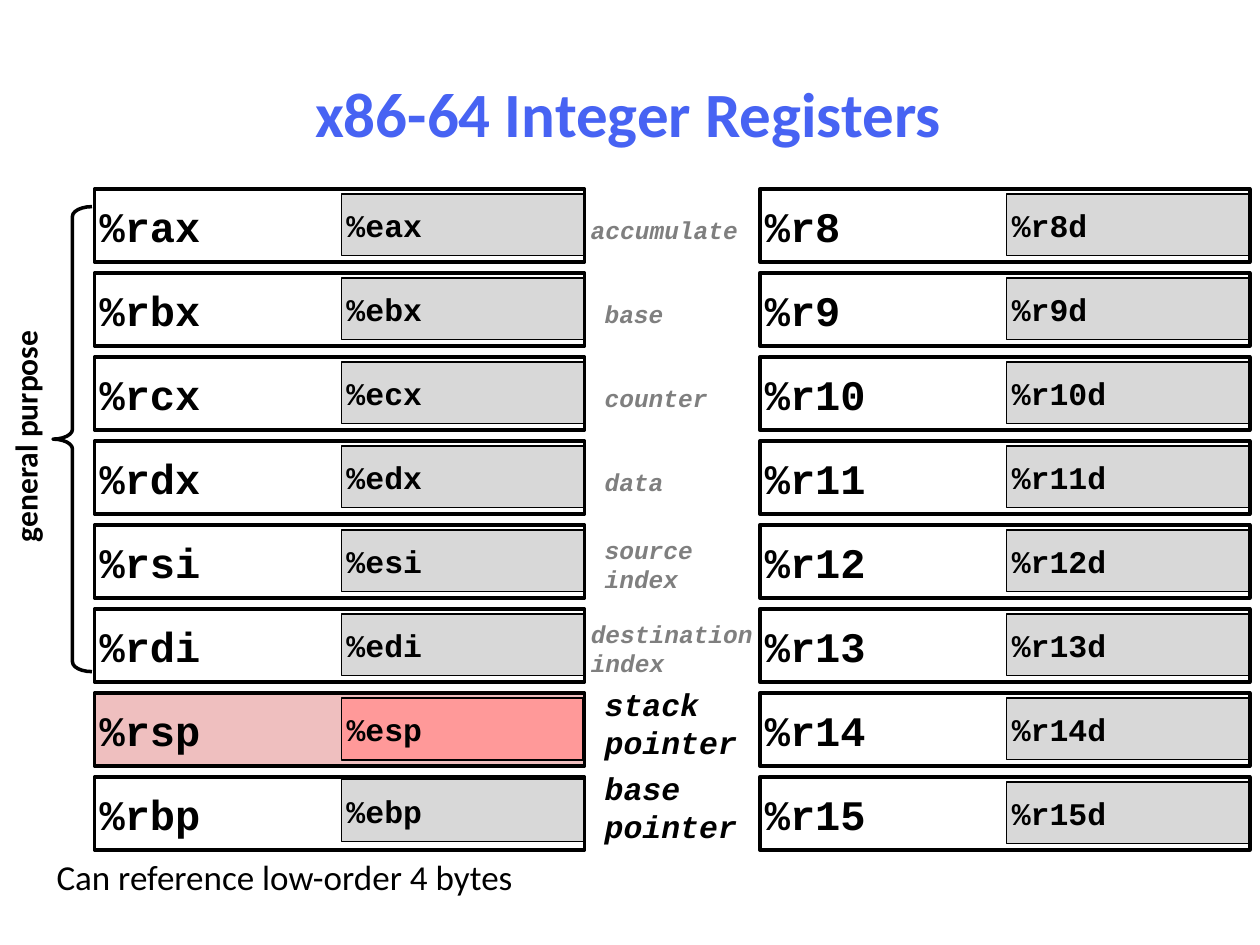
"""Build a slide that maps the x86-64 integer registers to their low halves."""
import pptx
import pptx.dml.color
import pptx.enum.shapes
import pptx.enum.text
import pptx.oxml
import pptx.util
from pptx.util import Inches

MONO = "Courier New"
SANS = "Calibri"
PITCH = 2 / 3


def color(code):
    return pptx.dml.color.RGBColor.from_string(code)


def write(shape, text, face, size, ink="000000", bold=True, slant=False):
    frame = shape.text_frame
    frame.text = text
    for para in frame.paragraphs:
        font = para.font
        font.name, font.size = face, pptx.util.Pt(size)
        font.bold, font.italic = bold, slant
        font.color.rgb = color(ink)
    return frame


deck = pptx.Presentation()
deck.slide_width, deck.slide_height = Inches(10), Inches(7.5)
slide = deck.slides.add_slide(deck.slide_layouts[5])
shapes = slide.shapes

title = shapes.title
title.left, title.top = Inches(0.39), Inches(0.48)
title.width, title.height = Inches(9.19), Inches(0.83)
frame = write(title, "x86-64 Integer Registers", SANS, 36, "4763F3")
frame.vertical_anchor = pptx.enum.text.MSO_ANCHOR.MIDDLE
frame.paragraphs[0].alignment = pptx.enum.text.PP_ALIGN.CENTER

banks = [
    (0.75, ["ax", "bx", "cx", "dx", "si", "di", "sp", "bp"], "%r{}", "%e{}"),
    (6.03, range(8, 16), "%r{}", "%r{}d"),
]
boxes = []
for left, names, full, half in banks:
    for row, name in enumerate(names):
        top = 1.5 + row * PITCH
        stack = name == "sp"
        inset = 0.02 if name == "bp" else 0.04
        outer = (full.format(name), left, top, 3.89, 0.58,
                 "EFBFBF" if stack else None, 2, 24)
        inner = (half.format(name), left + 1.96, top + inset,
                 1.92 if stack else 1.93, 0.49,
                 "FF9999" if stack else "D8D8D8", 1 if stack else 0.75, 18)
        boxes += [outer, inner] if stack else [inner, outer]

for text, left, top, width, height, fill, line, size in boxes:
    box = shapes.add_shape(pptx.enum.shapes.MSO_SHAPE.RECTANGLE, Inches(left),
                           Inches(top), Inches(width), Inches(height))
    box.shadow.inherit = False
    if fill:
        box.fill.solid()
        box.fill.fore_color.rgb = color(fill)
    else:
        box.fill.background()
    box.line.color.rgb = color("000000")
    box.line.width = pptx.util.Pt(line)
    frame = write(box, text, MONO, size)
    frame.margin_left = frame.margin_right = Inches(0.04)
    frame.margin_top = frame.margin_bottom = Inches(0.04)
    frame.vertical_anchor = pptx.enum.text.MSO_ANCHOR.MIDDLE
    frame.paragraphs[0].alignment = pptx.enum.text.PP_ALIGN.LEFT

brace = shapes.add_shape(pptx.enum.shapes.MSO_SHAPE.LEFT_BRACE, Inches(0.42),
                         Inches(1.64), Inches(0.31), Inches(3.69))
brace.shadow.inherit = False
brace.fill.background()
brace.line.color.rgb = color("000000")
brace.line.width = pptx.util.Pt(2)
brace.adjustments[0] = 0.25

group = shapes.add_textbox(Inches(-0.74), Inches(3.26), Inches(1.88), Inches(0.4))
group.rotation = 270
write(group, "general purpose", SANS, 18).word_wrap = False

roles = [
    ("accumulate", 4.59, 1.37), ("base", 4.7, 0.67),
    ("counter", 4.7, 1.02), ("data", 4.7, 0.67),
    ("source\nindex", 4.7, 1.02), ("destination\nindex", 4.59, 1.49),
    ("stack\npointer", 4.7, 1.25), ("base\npointer", 4.7, 1.25),
]
for row, (text, left, width) in enumerate(roles):
    main = "pointer" in text
    if main:
        shift, height, size, ink = -0.11, 0.7, 18, "000000"
    elif "\n" in text:
        shift, height, size, ink = 0.03, 0.57, 14, "7F7F7F"
    else:
        shift, height, size, ink = 0.16, 0.34, 14, "7F7F7F"
    role = shapes.add_textbox(Inches(left), Inches(1.5 + row * PITCH + shift),
                              Inches(width), Inches(height))
    write(role, text, MONO, size, ink, slant=True).word_wrap = False

note = shapes.add_textbox(Inches(0.35), Inches(6.74), Inches(8.02), Inches(0.44))
note.text_frame.word_wrap = True
props = note.text_frame.paragraphs[0]._p.get_or_add_pPr()
props.set("marL", str(Inches(0.81)))
props.set("indent", str(Inches(-0.31)))
space = 'xmlns:a="http://schemas.openxmlformats.org/drawingml/2006/main"'
for mark in ('buClr {}><a:srgbClr val="990000"/></a:buClr>',
             'buSzPct {} val="110000"/>', 'buChar {} char="▪"/>'):
    props.append(pptx.oxml.parse_xml("<a:" + mark.format(space)))
write(note, "Can reference low-order 4 bytes", SANS, 20, bold=False)

deck.save("out.pptx")
